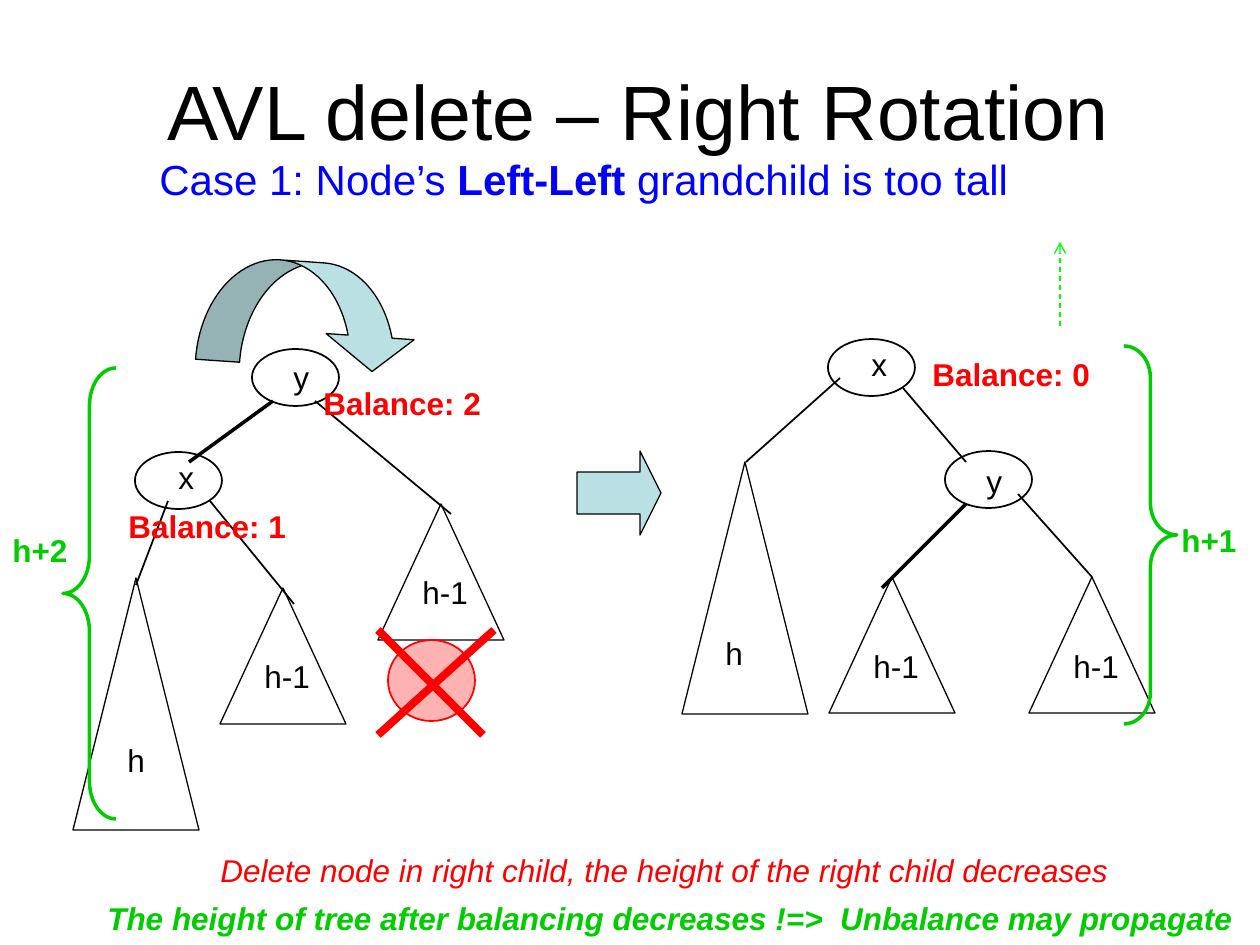
from lxml.etree import SubElement
from pptx import Presentation
from pptx.dml.color import RGBColor
from pptx.enum.dml import MSO_LINE
from pptx.enum.shapes import MSO_CONNECTOR, MSO_SHAPE
from pptx.enum.text import MSO_ANCHOR, MSO_AUTO_SIZE, PP_ALIGN
from pptx.oxml.ns import qn
from pptx.util import Inches, Pt

BLACK = RGBColor(0, 0, 0)
RED = RGBColor(0xFF, 0, 0)
BLUE = RGBColor(0, 0, 0xFF)
GREEN = RGBColor(0, 0xCC, 0)
LIME = RGBColor(0, 0xFF, 0)
TEAL = RGBColor(0xBB, 0xE0, 0xE3)
NODE = (87, 57)
SHORT = (126, 136)
TALL = (126, 252)


def px(*lengths):
    """Turn pixels into EMU."""
    return [round(n * Inches(1) / 126) for n in lengths]


def shape(shapes, kind, box, color=BLACK, width=0.75, fill=None, adjust=()):
    """Add an outlined preset shape, hollow unless a fill is given."""
    item = shapes.add_shape(kind, *px(*box))
    item.shadow.inherit = False
    item.line.color.rgb = color
    item.line.width = Pt(width)
    if fill is None:
        item.fill.background()
    else:
        item.fill.solid()
        item.fill.fore_color.rgb = fill
    for i, value in enumerate(adjust):
        item.adjustments[i] = value
    return item


def line(shapes, ends, color=BLACK, width=1):
    """Add a straight line between two points."""
    item = shapes.add_connector(MSO_CONNECTOR.STRAIGHT, *px(*ends))
    item.line.color.rgb = color
    item.line.width = Pt(width)
    SubElement(item._element.spPr, qn("a:effectLst"))
    return item


def text(shapes, box, runs, color=BLACK, size=18, bold=None, italic=None):
    """Add one line of text; runs are (words, bold) pairs or a string."""
    frame = shapes.add_textbox(*px(*box)).text_frame
    frame.word_wrap = False
    frame.auto_size = MSO_AUTO_SIZE.NONE
    para = frame.paragraphs[0]
    para.alignment = PP_ALIGN.LEFT
    font = para.font
    font.name, font.size, font.bold, font.italic = "Arial", Pt(size), bold, italic
    font.color.rgb = color
    for words, heavy in [(runs, None)] if isinstance(runs, str) else runs:
        run = para.add_run()
        run.text = words
        run.font.bold = heavy


def tree(shapes, left, top, nodes, edges, leaves, notes):
    """Draw a tree of nodes, edges, subtrees and balance notes from its corner."""
    for name, x, y, dx, dy in nodes:
        shape(shapes, MSO_SHAPE.OVAL, (left + x, top + y, *NODE), width=1)
        text(shapes, (left + x + dx, top + y + dy, 44, 50), name)
    for x1, y1, x2, y2, width in edges:
        line(shapes, (left + x1, top + y1, left + x2, top + y2), width=width)
    for name, x, y, size, dx, dy in leaves:
        shape(shapes, MSO_SHAPE.ISOSCELES_TRIANGLE, (left + x, top + y, *size))
        wide = 46 if name == "h" else 76
        text(shapes, (left + x + dx, top + y + dy, wide, 50), name)
    for value, x, y in notes:
        text(shapes, (left + x, top + y, 187, 50), f"Balance: {value}", RED, bold=True)


def gone(shapes, left, top):
    """Draw the deleted node, crossed out."""
    disc = shape(shapes, MSO_SHAPE.OVAL, (left + 10, top + 10, 87, 81), RED, 1, RED)
    tint = disc._element.spPr.find(qn("a:solidFill"))[0]
    SubElement(tint, qn("a:alpha"), val="30000")
    for x1, x2 in ((0, 105), (116, 0)):
        line(shapes, (left + x1, top, left + x2, top + 105), RED, 4.5)


def brace(shapes, kind, left, top, high, bend, name, dx, dy):
    """Draw a height brace and its label."""
    shape(shapes, kind, (left, top, 53, high), GREEN, 2, adjust=(bend, 0.5))
    text(shapes, (left + dx, top + dy, 85, 50), name, GREEN, bold=True)


def arrows(shapes, left, top):
    """Draw the rotation, step and propagation arrows."""
    curl = shape(shapes, MSO_SHAPE.CURVED_DOWN_ARROW, (left, top + 20, 221, 105),
                 fill=TEAL, adjust=(0.42, 0.84, 0.33))
    curl.rotation = 4
    shape(shapes, MSO_SHAPE.RIGHT_ARROW, (left + 378, top + 209, 84, 84),
          fill=TEAL, adjust=(0.5, 0.25))
    up = line(shapes, (left + 861, top + 84, left + 861, top), LIME, 0.75)
    up.line.dash_style = MSO_LINE.DASH
    SubElement(up.line._get_or_add_ln(), qn("a:tailEnd"), type="arrow")


def heading(slide, left, top, wide, high):
    """Fill the title and the case line under it."""
    title = slide.shapes.title
    title.left, title.top, title.width, title.height = px(left, top, wide, high)
    frame = title.text_frame
    frame.text = " AVL delete – Right Rotation"
    frame.vertical_anchor = MSO_ANCHOR.MIDDLE
    para = frame.paragraphs[0]
    para.alignment = PP_ALIGN.CENTER
    para.font.name, para.font.size = "Arial", Pt(44)
    para.font.color.rgb = BLACK
    text(slide.shapes, (left + 84, top + 116, 880, 63),
         [("Case 1: Node’s ", None), ("Left-Left", True),
          (" grandchild is too tall", None)], BLUE, 24)


def footer(shapes, left, top):
    """Write the two closing remarks."""
    text(shapes, (left + 113, top, 920, 50),
         "Delete node in right child, the height of the right child decreases",
         RED, italic=True)
    text(shapes, (left, top + 48, 1160, 50),
         "The height of tree after balancing decreases !=>  Unbalance may propagate",
         GREEN, bold=True, italic=True)


def build():
    """Build the slide and save it."""
    deck = Presentation()
    deck.slide_width, deck.slide_height = Inches(10), Inches(7.5)
    slide = deck.slides.add_slide(deck.slide_layouts[5])
    shapes = slide.shapes
    heading(slide, 63, 31, 1134, 157)
    tree(shapes, 73, 252,
         [("y", 179, 97, 29, 3), ("x", 62, 200, 31, 0)],
         [(200, 149, 116, 210, 2), (242, 149, 378, 262, 1),
          (137, 249, 221, 352, 1), (95, 249, 63, 333, 1)],
         [("h-1", 147, 336, SHORT, 32, 63), ("h-1", 305, 252, SHORT, 32, 63),
          ("h", 0, 326, TALL, 42, 157)],
         [(1, 43, 249), (2, 238, 126)])
    arrows(shapes, 199, 242)
    gone(shapes, 378, 630)
    tree(shapes.add_group_shape().shapes, 682, 339,
         [("y", 263, 112, 29, 5), ("x", 146, 0, 31, 0)],
         [(284, 165, 200, 249, 2), (64, 123, 158, 39, 1),
          (221, 49, 284, 123, 1), (336, 155, 410, 238, 1)],
         [("h", 0, 123, TALL, 31, 166), ("h-1", 147, 238, SHORT, 32, 64),
          ("h-1", 347, 238, SHORT, 32, 64)],
         [(0, 238, 10)])
    footer(shapes, 95, 845)
    brace(shapes.add_group_shape().shapes, MSO_SHAPE.LEFT_BRACE,
          63, 368, 451, 0.71, "h+2", -63, 157)
    brace(shapes.add_group_shape().shapes, MSO_SHAPE.RIGHT_BRACE,
          1124, 346, 378, 0.6, "h+1", 45, 169)
    deck.save("out.pptx")


build()
